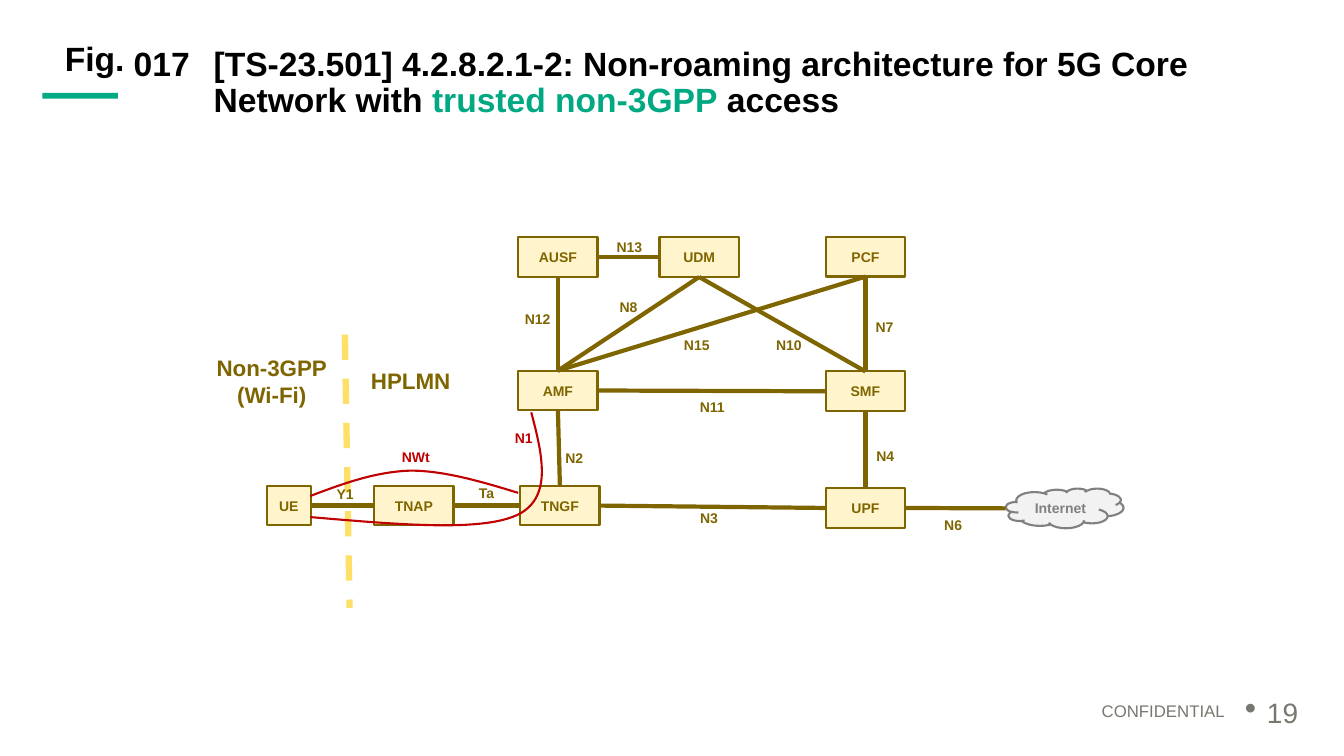
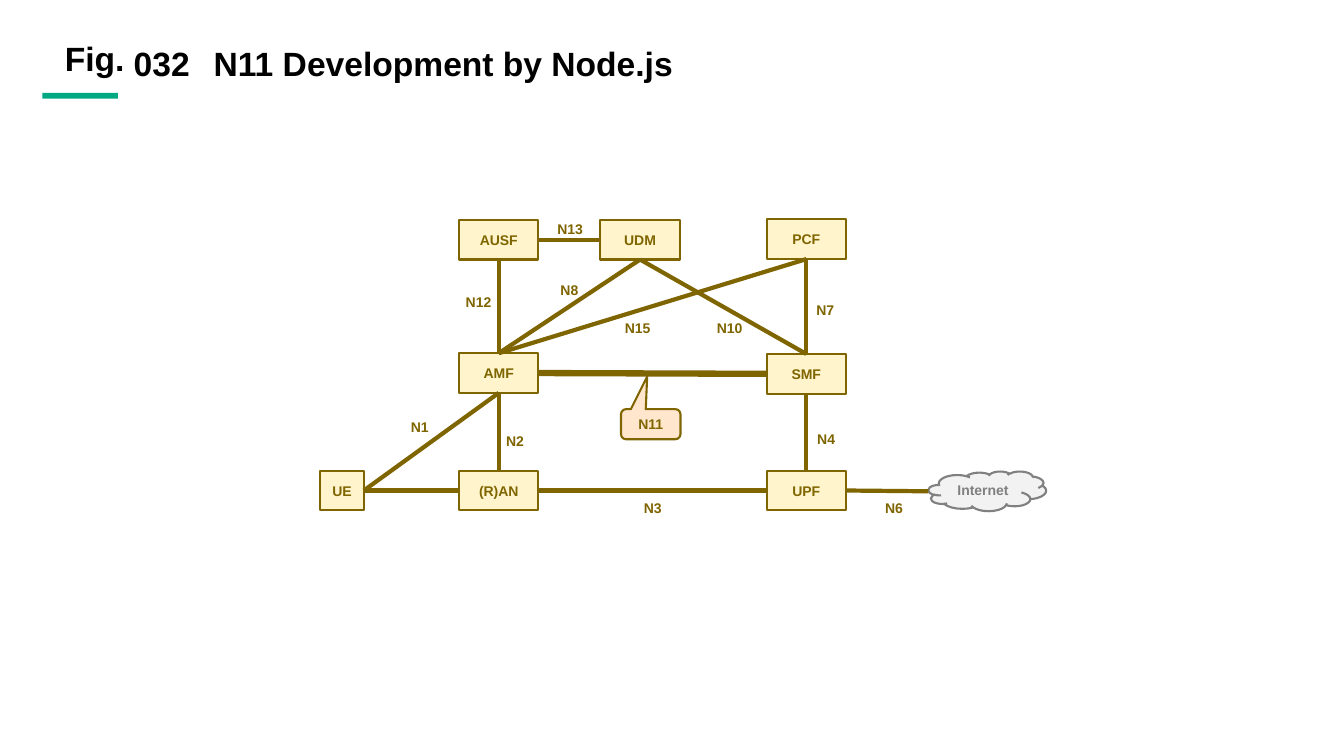
from dataclasses import dataclass

from lxml import etree
from pptx import Presentation
from pptx.dml.color import RGBColor
from pptx.enum.dml import MSO_LINE
from pptx.enum.shapes import MSO_CONNECTOR, MSO_SHAPE
from pptx.enum.text import MSO_ANCHOR, MSO_AUTO_SIZE, PP_ALIGN
from pptx.oxml.ns import qn
from pptx.util import Cm, Pt

RECT = MSO_SHAPE.RECTANGLE
CLOUD = MSO_SHAPE.CLOUD
CALLOUT = MSO_SHAPE.ROUNDED_RECTANGULAR_CALLOUT
STRAIGHT = MSO_CONNECTOR.STRAIGHT
LEFT, CENTER, RIGHT = PP_ALIGN.LEFT, PP_ALIGN.CENTER, PP_ALIGN.RIGHT
TOP, MIDDLE = MSO_ANCHOR.TOP, MSO_ANCHOR.MIDDLE

# Connection sites of a rectangle
N, W, S, E = range(4)


@dataclass(frozen=True)
class Theme:
    font: str = "Arial"
    black: str = "000000"
    green: str = "01A982"
    footer_gray: str = "787871"
    brown: str = "7F6500"
    cream: str = "FFF4CC"
    peach: str = "FFE6CC"
    yellow: str = "FEDF67"
    red: str = "C00000"
    cloud_fill: str = "F2F2F2"
    cloud_gray: str = "808080"
    title_size: int = 24
    page_size: int = 20
    area_size: int = 16
    footer_size: int = 12
    label_size: int = 10
    outline: float = 1.5
    link: float = 3
    heavy: float = 4.5


THEME = Theme()


def rgb(code):
    return RGBColor.from_string(code)


def write(shape, text, *, size=THEME.label_size, color=THEME.brown, bold=True,
          align=CENTER, anchor=MIDDLE, spacing=1.0, inset=None,
          highlight=None, bullet=None):
    """Fill a shape with text; each line becomes a paragraph."""
    frame = shape.text_frame
    frame.word_wrap = True
    frame.auto_size = MSO_AUTO_SIZE.NONE
    frame.vertical_anchor = anchor
    if inset is not None:
        frame.margin_left = frame.margin_right = inset
        frame.margin_top = frame.margin_bottom = inset
    for index, line in enumerate(text.split("\n")):
        paragraph = frame.add_paragraph() if index else frame.paragraphs[0]
        paragraph.alignment = align
        paragraph.line_spacing = spacing
        if bullet:
            properties = paragraph._p.get_or_add_pPr()
            properties.set("marL", str(Cm(0.56)))
            properties.set("indent", str(-Cm(0.56)))
            etree.SubElement(properties, qn("a:buSzPct"), val="120000")
            etree.SubElement(properties, qn("a:buChar"), char=bullet)
        for part in line.partition(highlight) if highlight else (line,):
            if part:
                run = paragraph.add_run()
                run.text = part
                run.font.name = THEME.font
                run.font.size = Pt(size)
                run.font.bold = bold
                run.font.color.rgb = rgb(THEME.green if part == highlight else color)


# Parts that both networks have; all places are centres in cm
CORE_NODES = {
    "AUSF": (14.06, 6.48), "UDM": (17.62, 6.48), "PCF": (21.81, 6.47),
    "AMF": (14.06, 9.84), "SMF": (21.81, 9.86), "UPF": (21.81, 12.8),
}
CORE_LINKS = [
    ("AUSF", E, "UDM", W), ("AMF", N, "AUSF", S), ("AMF", N, "UDM", S),
    ("AMF", N, "PCF", S), ("UDM", S, "SMF", N), ("PCF", S, "SMF", N),
    ("AMF", E, "SMF", W), ("SMF", S, "UPF", N), ("UPF", E, "Internet", W),
]
CORE_LABELS = {
    "N13": (15.86, 6.21), "N12": (13.55, 8.04), "N8": (15.84, 7.74),
    "N15": (17.56, 8.7), "N10": (19.88, 8.7), "N7": (22.29, 8.25),
    "N2": (14.47, 11.55), "N4": (22.31, 11.5), "N6": (24.02, 13.23),
}

# What differs from slide to slide; shift moves the whole network
FIGURES = [
    dict(
        number="017",
        title="[TS-23.501] 4.2.8.2.1-2: Non-roaming architecture for 5G Core "
              "Network with trusted non-3GPP access",
        highlight="trusted non-3GPP",
        shift=(0, 0),
        nodes={"UE": (7.28, 12.74), "TNAP": (10.43, 12.74), "TNGF": (14.11, 12.74)},
        cloud=(26.83, 12.81),
        links=[("UE", E, "TNAP", W), ("TNAP", E, "TNGF", W),
               ("AMF", S, "TNGF", N), ("TNGF", E, "UPF", W)],
        labels={"N3": (17.87, 13.05), "N11": (17.95, 10.25),
                "Ta": (12.26, 12.41), "Y1": (8.7, 12.44)},
        signal_labels={"N1": (13.2, 11.04), "NWt": (10.48, 11.52)},
        # Bezier points: a start, then three for each segment
        signals=[
            [(7.82, 13.03), (9.96, 13.21), (12.09, 13.41), (13.03, 12.98),
             (13.94, 12.55), (13.67, 11.46), (13.39, 10.39)],
            [(7.82, 12.5), (8.64, 12.19), (9.45, 11.89), (10.34, 11.86),
             (11.2, 11.86), (12.14, 12.14), (13.06, 12.42)],
        ],
        areas={"Non-3GPP\n(Wi-Fi)": (6.85, 9.6), "HPLMN": (10.35, 9.58)},
        border=[(8.69, 8.43), (8.81, 15.32)],
        page="19",
    ),
    dict(
        number="032",
        title="N11 Development by Node.js",
        shift=(-1.49, -0.44),
        nodes={"UE": (10.11, 12.8), "(R)AN": (14.06, 12.8)},
        cloud=(26.37, 12.82),
        links=[("UE", E, "(R)AN", W), ("UE", E, "AMF", S),
               ("AMF", S, "(R)AN", N), ("(R)AN", E, "UPF", W)],
        labels={"N1": (12.07, 11.2), "N3": (17.94, 13.23)},
        callout=("N11", (17.89, 11.13)),
        heavy=("AMF", "SMF"),
    ),
]


def draw_line(slide, start, end, color, width):
    line = slide.shapes.add_connector(STRAIGHT, *start, *end)
    line.line.color.rgb = rgb(color)
    line.line.width = Pt(width)
    etree.SubElement(line._element.spPr, qn("a:effectLst"))
    return line


deck = Presentation()
deck.slide_width, deck.slide_height = Cm(33.87), Cm(19.05)
layout = deck.slide_layouts[5]
heading = dict(size=THEME.title_size, color=THEME.black, anchor=TOP, spacing=0.9)

# Shared title place
title_place = layout.placeholders[0]
title_place.left, title_place.top = Cm(5.13), Cm(1.07)
title_place.width, title_place.height = Cm(27.69), Cm(1.19)

for figure in FIGURES:
    slide = deck.slides.add_slide(layout)
    shapes = slide.shapes

    # Shared band and "Fig." mark, made once and moved to the layout
    if figure is FIGURES[0]:
        band = shapes.add_shape(RECT, Cm(1.07), Cm(2.34), Cm(1.9), Cm(0.15))
        band.shadow.inherit = False
        band.fill.solid()
        band.fill.fore_color.rgb = rgb(THEME.green)
        band.line.fill.background()
        mark = shapes.add_textbox(Cm(1.14), Cm(1.07), Cm(2), Cm(1.19))
        write(mark, "Fig.", align=RIGHT, inset=0, **heading)
        for part in (band, mark):
            layout.shapes.element.append(part.element)

    # Title and figure number
    write(shapes.title, figure["title"], align=LEFT,
          highlight=figure.get("highlight"), **heading)
    number = shapes.add_textbox(Cm(3.12), Cm(1.07), Cm(2), Cm(1.19))
    write(number, figure["number"], align=LEFT, **heading)

    # Border between the two areas
    if "border" in figure:
        start, end = [(Cm(x), Cm(y)) for x, y in figure["border"]]
        border = draw_line(slide, start, end, THEME.yellow, THEME.heavy)
        border.line.dash_style = MSO_LINE.DASH

    # Network functions, cloud and callout
    blocks = [(name, RECT, place, (1.1 if name == "UE" else 2, 1),
               THEME.cream, THEME.brown)
              for name, place in (CORE_NODES | figure["nodes"]).items()]
    blocks.append(("Internet", CLOUD, figure["cloud"], (2.97, 1),
                   THEME.cloud_fill, THEME.cloud_gray))
    if "callout" in figure:
        name, place = figure["callout"]
        blocks.append((name, CALLOUT, place, (1.5, 0.76), THEME.peach, THEME.brown))
    dx, dy = figure["shift"]
    drawn = {}
    for name, kind, (x, y), (width, height), fill, ink in blocks:
        block = shapes.add_shape(kind, Cm(x + dx - width / 2), Cm(y + dy - height / 2),
                                 Cm(width), Cm(height))
        block.shadow.inherit = False
        block.fill.solid()
        block.fill.fore_color.rgb = rgb(fill)
        block.line.color.rgb = rgb(ink)
        block.line.width = Pt(THEME.outline)
        if kind == CALLOUT:
            for index, value in enumerate((-0.06, -1.58, 0.17)):
                block.adjustments[index] = value
        write(block, name, color=ink, inset=0)
        drawn[name] = block

    # Links, glued to the network functions
    for source, source_side, target, target_side in CORE_LINKS + figure["links"]:
        goal = drawn[target]
        width = THEME.heavy if (source, target) == figure.get("heavy") else THEME.link
        link = draw_line(slide, (0, 0), (goal.left, goal.top + goal.height // 2),
                         THEME.brown, width)
        link.begin_connect(drawn[source], source_side)
        if target != "Internet":
            link.end_connect(goal, target_side)

    # Signalling curves
    for points in figure.get("signals", []):
        curve = []
        for first in range(0, len(points) - 1, 3):
            controls = points[first:first + 4]
            for step in range(1, 25):
                t = step / 24
                weights = ((1 - t) ** 3, 3 * t * (1 - t) ** 2, 3 * t * t * (1 - t), t ** 3)
                curve.append(tuple(Cm(sum(w * c for w, c in zip(weights, axis)))
                                   for axis in zip(*controls)))
        builder = shapes.build_freeform(Cm(points[0][0]), Cm(points[0][1]))
        builder.add_line_segments(curve, close=False)
        signal = builder.convert_to_shape()
        signal.shadow.inherit = False
        signal.fill.background()
        signal.line.color.rgb = rgb(THEME.red)
        signal.line.width = Pt(THEME.outline)

    # Names of links, signals and areas
    for labels, width, style in (
        (CORE_LABELS | figure["labels"], 2, {}),
        (figure.get("signal_labels", {}), 2, dict(color=THEME.red)),
        (figure.get("areas", {}), 4, dict(size=THEME.area_size)),
    ):
        for name, (x, y) in labels.items():
            label = shapes.add_textbox(Cm(x + dx - width / 2), Cm(y + dy - 0.5),
                                       Cm(width), Cm(1))
            write(label, name, **style)

    # Footer
    if "page" in figure:
        quiet = dict(color=THEME.footer_gray, bold=False, spacing=0.9)
        notice = shapes.add_textbox(Cm(19.69), Cm(17.6), Cm(11.43), Cm(0.61))
        write(notice, "CONFIDENTIAL", size=THEME.footer_size, align=RIGHT,
              anchor=TOP, **quiet)
        page = shapes.add_textbox(Cm(31.12), Cm(17.5), Cm(1.9), Cm(1.02))
        write(page, figure["page"], size=THEME.page_size, align=LEFT,
              bullet="•", **quiet)

deck.save("out.pptx")
